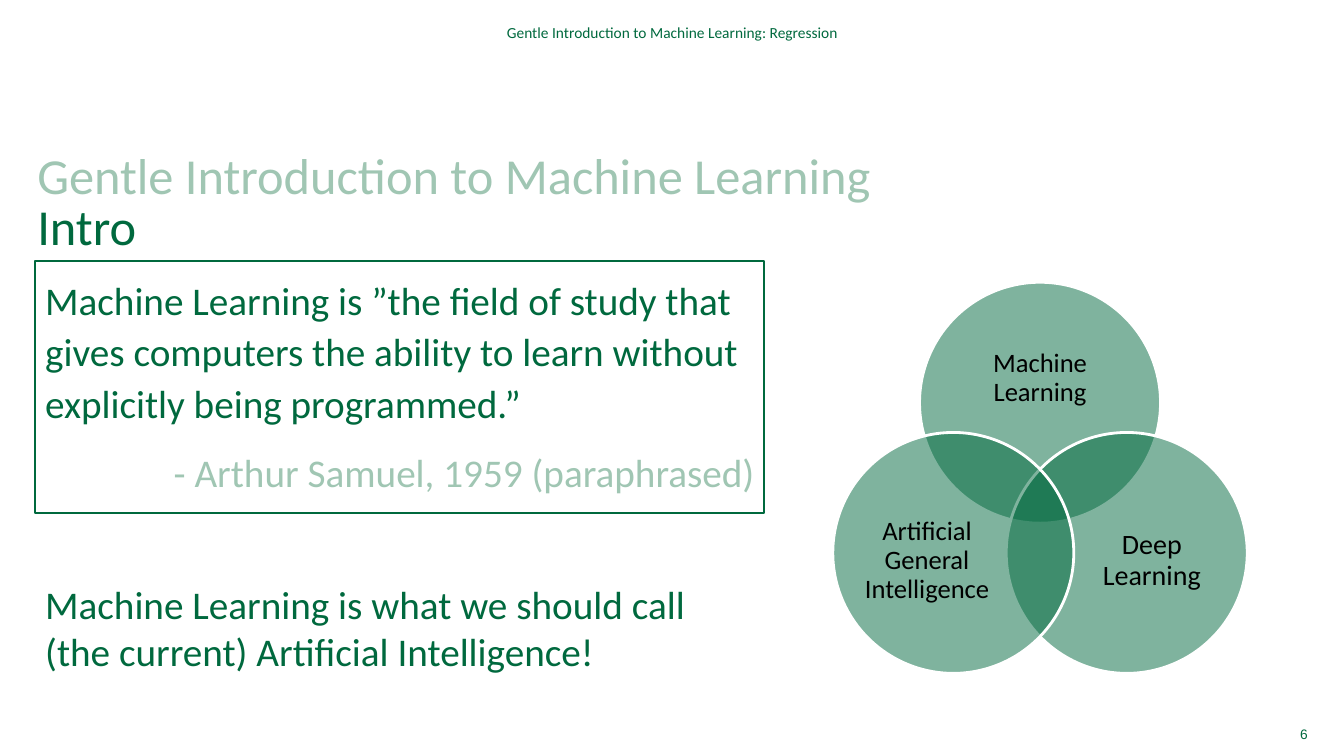
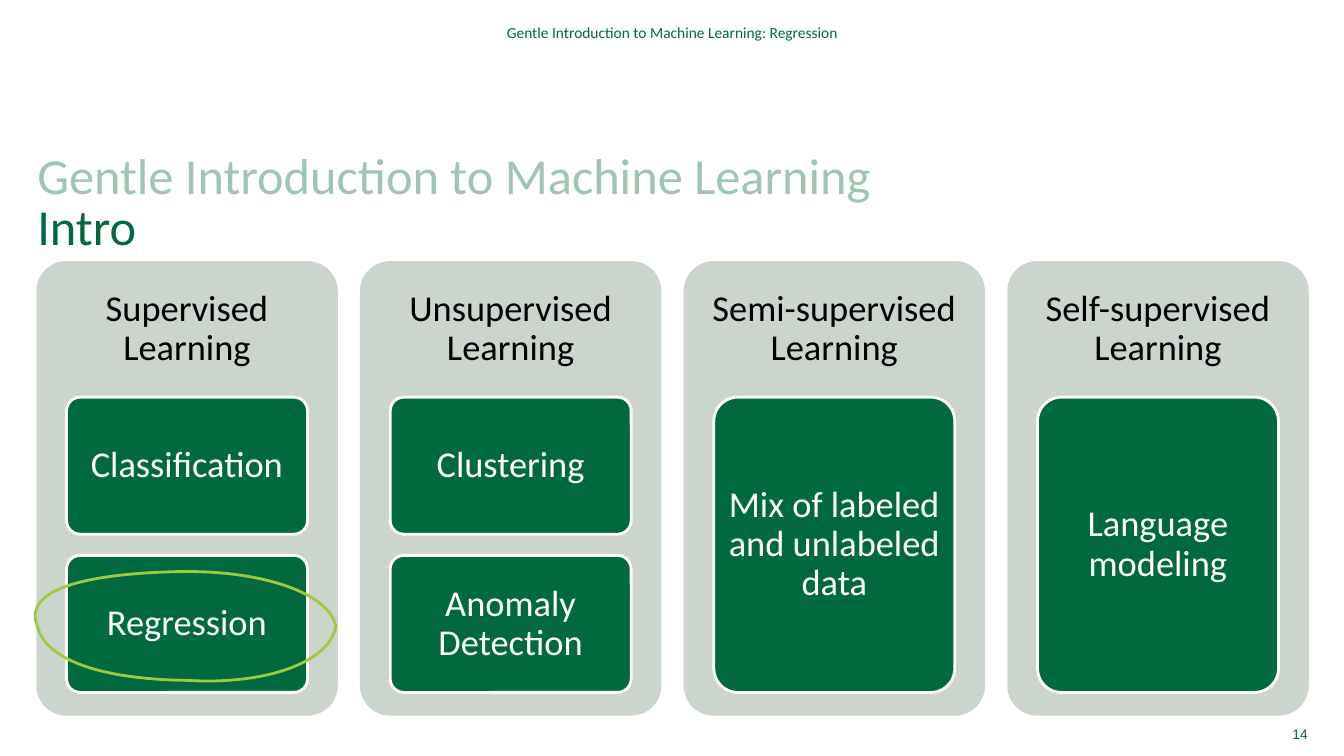
from lxml import etree
from pptx import Presentation
from pptx import util as u
from pptx.dml import color
from pptx.enum import shapes, text
from pptx.oxml import ns

PX = 9144
COLORS = {
    "green": "00693E",
    "mint": "A0C6B3",
    "card": "CCD4CE",
    "lime": "A0C943",
    "white": "FFFFFF",
    "black": "000000",
}
LEFT, CENTER, RIGHT = text.PP_ALIGN.LEFT, text.PP_ALIGN.CENTER, text.PP_ALIGN.RIGHT
TOP, MIDDLE = text.MSO_ANCHOR.TOP, text.MSO_ANCHOR.MIDDLE
SHAPE = shapes.MSO_SHAPE


class Lecture:
    """Hold the lecture style and the slide being drawn."""

    def __init__(self):
        self.deck = Presentation()
        self.deck.slide_width, self.deck.slide_height = 1333 * PX, 750 * PX
        self.page = None

    def color(self, name):
        return color.RGBColor.from_string(COLORS[name])

    def new_page(self, number):
        self.page = self.deck.slides.add_slide(self.deck.slide_layouts[6])
        title = self.label((37, 152, 1263, 101), "Gentle Introduction to Machine Learning",
                           36, "mint", align=LEFT, anchor=TOP, spacing=0.85)
        para = title.text_frame.paragraphs[0]
        para.add_line_break()
        span = para.add_run()
        span.text = "Intro"
        span.font.color.rgb = self.color("green")
        self.label((261, 20, 812, 24), "Gentle Introduction to Machine Learning: Regression", 11)
        self.label((1240, 716, 57, 24), number, 9.8, align=RIGHT, font="Arial")

    def frame(self, shape, insets=(0, 0, 0, 0), anchor=MIDDLE):
        frame = shape.text_frame
        frame.word_wrap = True
        frame.vertical_anchor = anchor
        frame.margin_left, frame.margin_top, frame.margin_right, frame.margin_bottom = (
            inset * PX for inset in insets)
        return frame

    def set_para(self, para, words, size, ink="green", align=CENTER, spacing=1.0, gap=0,
                 font="Calibri"):
        para.text = words
        para.alignment = align
        para.line_spacing = spacing
        para.space_before = para.space_after = u.Pt(gap)
        para.font.name = font
        para.font.size = u.Pt(size)
        para.font.color.rgb = self.color(ink)

    def label(self, at, words, size, ink="green", anchor=MIDDLE, insets=(0, 0, 0, 0), **style):
        box = self.page.shapes.add_textbox(*(length * PX for length in at))
        frame = self.frame(box, insets, anchor)
        self.set_para(frame.paragraphs[0], words, size, ink, **style)
        return box

    def paint(self, shape, fill=None, line=None, width=2.0):
        shape.shadow.inherit = False
        if fill:
            shape.fill.solid()
            shape.fill.fore_color.rgb = self.color(fill)
        else:
            shape.fill.background()
        if line:
            shape.line.color.rgb = self.color(line)
            shape.line.width = u.Pt(width)
        else:
            shape.line.fill.background()
        return shape

    def shape(self, kind, at, **look):
        shape = self.page.shapes.add_shape(kind, *(length * PX for length in at))
        return self.paint(shape, **look)

    def rounded(self, at, **look):
        box = self.shape(SHAPE.ROUNDED_RECTANGLE, at, **look)
        box.adjustments[0] = 0.1
        return box

    def circle(self, left, top, size):
        circle = self.shape(SHAPE.OVAL, (left, top, size, size), fill="green", line="white")
        tint = circle.element.spPr.find(ns.qn("a:solidFill")).find(ns.qn("a:srgbClr"))
        etree.SubElement(tint, ns.qn("a:alpha"), val="50000")

    def loop(self, start, curves, line, steps=24):
        points = []
        here = start
        for first, second, end in curves:
            for step in range(1, steps + 1):
                t = step / steps
                weights = ((1 - t) ** 3, 3 * t * (1 - t) ** 2, 3 * t * t * (1 - t), t ** 3)
                knots = (here, first, second, end)
                points.append(tuple(
                    sum(weight * knot[axis] for weight, knot in zip(weights, knots)) * PX
                    for axis in (0, 1)))
            here = end
        builder = self.page.shapes.build_freeform(start[0] * PX, start[1] * PX)
        builder.add_line_segments(points, close=True)
        self.paint(builder.convert_to_shape(), line=line)

    def quote(self, at, words, author):
        box = self.shape(SHAPE.RECTANGLE, at, line="green", width=1.5)
        frame = self.frame(box, (10, 10, 10, 0), TOP)
        self.set_para(frame.paragraphs[0], words, 28, align=LEFT, spacing=1.1, gap=6)
        self.set_para(frame.add_paragraph(), author, 28, "mint", align=RIGHT, spacing=1.1, gap=6)

    def card(self, left, heading, topics):
        self.rounded((left, 259, 299, 451), fill="card")
        self.label((left, 259, 299, 135), heading, 26, "black", insets=(11, 11, 11, 11), spacing=0.9)
        gap = 21
        height = (293 - gap * (len(topics) - 1)) // len(topics)
        for row, topic in enumerate(topics):
            at = (left + 30, 394 + row * (height + gap), 239, height)
            tile = self.rounded(at, fill="green", line="white")
            frame = self.frame(tile, (7, 5, 7, 5))
            self.set_para(frame.paragraphs[0], topic, 26, "white", spacing=0.9)


def definition_page(lecture):
    lecture.new_page("6")
    lecture.quote(
        (35, 259, 723, 250),
        "Machine Learning is ”the field of study that gives computers the ability "
        "to learn without explicitly being programmed.”",
        "- Arthur Samuel, 1959 (paraphrased)")
    fields = [
        ((912, 280), (944, 322, 175, 107), "Machine Learning", 19),
        ((998, 429), (1071, 491, 143, 131), "Deep Learning", 20),
        ((826, 429), (848, 491, 143, 131), "Artificial General Intelligence", 19),
    ]
    for corner, label_at, name, size in fields:
        lecture.circle(*corner, 239)
        lecture.label(label_at, name, size, "black", spacing=0.9)
    lecture.label((35, 571, 723, 104),
                  "Machine Learning is what we should call (the current) Artificial Intelligence!",
                  28, align=LEFT, anchor=TOP, insets=(10, 5, 10, 5))


def families_page(lecture):
    lecture.new_page("14")
    families = {
        "Supervised Learning": ["Classification", "Regression"],
        "Unsupervised Learning": ["Clustering", "Anomaly Detection"],
        "Semi-supervised Learning": ["Mix of labeled and unlabeled data"],
        "Self-supervised Learning": ["Language modeling"],
    }
    for column, (heading, topics) in enumerate(families.items()):
        lecture.card(36 + column * 321, heading, topics)
    lecture.loop((37, 621), [
        ((21, 581), (99, 568), (185, 567)),
        ((268, 567), (327, 591), (333, 621)),
        ((328, 656), (266, 680), (185, 675)),
        ((101, 674), (45, 655), (37, 621)),
    ], "lime")


def main():
    lecture = Lecture()
    definition_page(lecture)
    families_page(lecture)
    lecture.deck.save("out.pptx")


if __name__ == "__main__":
    main()
